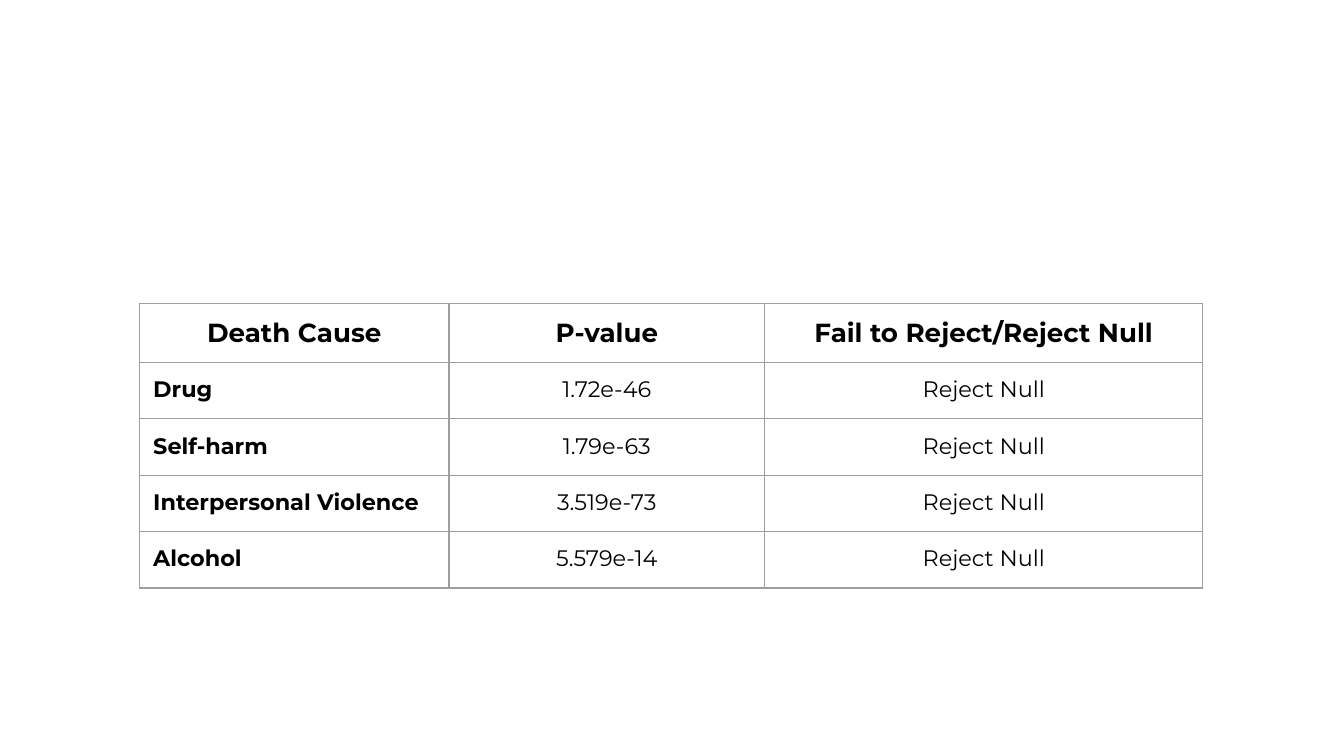
import pptx
import pptx.util
import pptx.dml.color
import pptx.enum.text
import pptx.oxml
import pptx.oxml.ns
import lxml.etree

Inches = pptx.util.Inches
Pt = pptx.util.Pt
RGBColor = pptx.dml.color.RGBColor
Align = pptx.enum.text.PP_ALIGN

BLACK = RGBColor(0x00, 0x00, 0x00)
GRAY = RGBColor(0x9E, 0x9E, 0x9E)

HEAD = ("Death Cause", "P-value", "Fail to Reject/Reject Null")
TESTS = (
    ("Drug", "1.72e-46"),
    ("Self-harm", "1.79e-63"),
    ("Interpersonal Violence", "3.519e-73"),
    ("Alcohol", "5.579e-14"),
)
WIDTHS = (2.3, 2.35, 3.26)
ROW_HIGH = 0.42


class Deck:
    """Style and current slide."""

    font = "Montserrat"
    pad = Inches(0.1)
    line = Pt(0.75)

    def __init__(self, show):
        self.slide = show.slides.add_slide(show.slide_layouts[6])

    def border(self, cell):
        props = cell._tc.get_or_add_tcPr()
        qn = pptx.oxml.ns.qn
        for spot, side in enumerate(("a:lnL", "a:lnR", "a:lnT", "a:lnB")):
            edge = lxml.etree.Element(qn(side), w=str(self.line))
            fill = lxml.etree.SubElement(edge, qn("a:solidFill"))
            lxml.etree.SubElement(fill, qn("a:srgbClr"), val=str(GRAY))
            props.insert(spot, edge)

    def cell(self, cell, text, size, bold, align):
        cell.fill.background()
        cell.margin_left = cell.margin_right = self.pad
        cell.margin_top = cell.margin_bottom = self.pad
        cell.text = text
        para = cell.text_frame.paragraphs[0]
        para.alignment = align
        para.font.name = self.font
        para.font.size = Pt(size)
        para.font.bold = bold
        para.font.color.rgb = BLACK
        self.border(cell)

    def table(self, left, top, widths, high, rows):
        frame = self.slide.shapes.add_table(
            len(rows), len(widths), Inches(left), Inches(top),
            Inches(sum(widths)), Inches(high * len(rows)))
        grid = frame.table
        grid.first_row = grid.horz_banding = False
        for col, width in zip(grid.columns, widths):
            col.width = Inches(width)
        for r, row in enumerate(rows):
            grid.rows[r].height = Inches(high)
            for c, text in enumerate(row):
                head, label = r == 0, c == 0
                self.cell(grid.cell(r, c), text, 14 if head else 12,
                          head or label,
                          Align.LEFT if label and not head else Align.CENTER)


def main():
    # Widescreen page, 16 to 9
    show = pptx.Presentation()
    show.slide_width = Inches(10)
    show.slide_height = Inches(10 * 9 / 16)
    deck = Deck(show)

    # Test results: every cause rejects the null
    rows = [HEAD] + [test + ("Reject Null",) for test in TESTS]
    deck.table(1.04, 2.26, WIDTHS, ROW_HIGH, rows)

    show.save("out.pptx")


if __name__ == "__main__":
    main()
